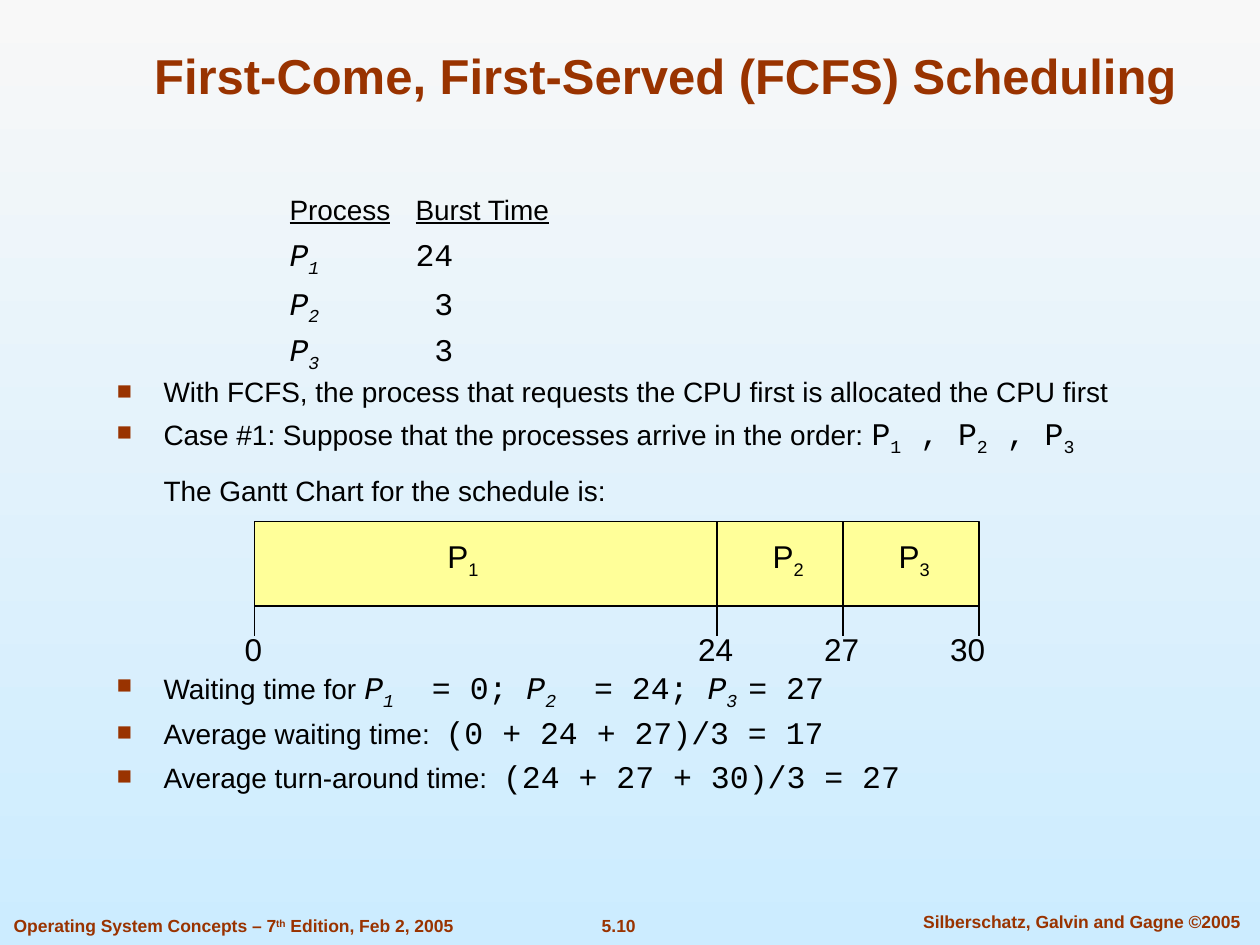
from lxml import etree
from pptx import Presentation
from pptx import util as u
from pptx.dml.color import RGBColor
from pptx.enum import shapes, text
from pptx.oxml import ns

RUST = RGBColor(0x99, 0x33, 0x00)
BLACK = RGBColor(0, 0, 0)
CREAM = RGBColor(0xFF, 0xFF, 0x99)
PALE = RGBColor(0xF8, 0xF8, 0xF8)
SKY = RGBColor(0xCC, 0xEC, 0xFF)
LEFT, MID = text.PP_ALIGN.LEFT, text.PP_ALIGN.CENTER
TOP, LOW = text.MSO_ANCHOR.TOP, text.MSO_ANCHOR.BOTTOM

deck = Presentation()
deck.slide_width, deck.slide_height = u.Inches(10), u.Inches(7.5)
slide = deck.slides.add_slide(deck.slide_layouts[6])

# Background
back = slide.background.fill
back.gradient()
back.gradient_angle = 270
for stop, tint in zip(back.gradient_stops, (PALE, SKY)):
    stop.color.rgb = tint


def add_box(x, y, w, h, wrap=True, anchor=TOP, plate=False):
    """Text box, or a clear rounded plate."""
    area = [u.Inches(n) for n in (x, y, w, h)]
    if plate:
        box = slide.shapes.add_shape(shapes.MSO_SHAPE.ROUNDED_RECTANGLE, *area)
        box.adjustments[0] = 0
        box.shadow.inherit = False
        box.fill.background()
        box.line.fill.background()
    else:
        box = slide.shapes.add_textbox(*area)
    frame = box.text_frame
    frame.word_wrap = wrap
    frame.vertical_anchor = anchor
    return frame


def add_runs(para, runs, size, tint=BLACK, bold=False, align=LEFT, line=0.93):
    """Style letters: m mono, i italic, u underline, s subscript, t superscript."""
    para.alignment, para.line_spacing = align, line
    for words, style in runs:
        run = para.add_run()
        run.text = words
        font = run.font
        font.name = "Courier New" if "m" in style else "Arial"
        font.size = u.Pt(18 if "m" in style else size)
        font.bold, font.color.rgb = bold, tint
        font.italic, font.underline = "i" in style, "u" in style
        for key, shift in (("s", "-25000"), ("t", "30000")):
            if key in style:
                run._r.get_or_add_rPr().set("baseline", shift)


# Small specks
for x, y in ((1.76, 5.42), (1.3, 4.6), (1.29, 0.97)):
    pen = slide.shapes.build_freeform(u.Inches(x), u.Inches(y + 0.01))
    pen.add_line_segments([(u.Inches(x + 0.01), u.Inches(y))])
    speck = pen.convert_to_shape()
    speck.shadow.inherit = False
    speck.fill.solid()
    speck.fill.fore_color.rgb = BLACK
    speck.line.fill.background()

# Footer
feet = [
    (4.42, 7.23, 0.98, MID, True, [("5.10", "")]),
    (7.1, 7.2, 2.97, MID, False, [("Silberschatz, Galvin and Gagne ©2005", "")]),
    (0.01, 7.23, 3.69, LEFT, True, [("Operating System Concepts – 7", ""), ("th", "t"),
                                    (" Edition, Feb 2, 2005", "")]),
]
for x, y, w, align, plate, runs in feet:
    foot = add_box(x, y, w, 0.26, plate=plate)
    add_runs(foot.paragraphs[0], runs, 10, RUST, True, align)

# Title
title = add_box(0.72, 0.34, 9.12, 0.55, anchor=LOW)
add_runs(title.paragraphs[0], [("First-Come, First-Served (FCFS) Scheduling", "")],
         28, RUST, True, MID)

# Body rows: kind, space before, runs
rows = [("head", 7, [("\t", ""), ("Process", "u"), ("\t", ""), ("Burst Time", "u")])]
for num, burst in enumerate((24, 3, 3), 1):
    rows.append(("row", 7.9 if num < 3 else 7,
                 [("\t", ""), ("P", "mi"), (str(num), "mis"), (f"\t{burst}", "m")]))
rows += [
    ("item", 7, [("With FCFS, the process that requests the CPU first "
                  "is allocated the CPU first", "")]),
    ("item", 6.1, [("Case #1: Suppose that the processes arrive in the order: ", ""),
                   ("P", "m"), ("1", "ms"), (" , P", "m"), ("2", "ms"),
                   (" , P", "m"), ("3", "ms")]),
    ("plain", 15.7, [("The Gantt Chart for the schedule is:", "")]),
    # The wide gap leaves room for the Gantt chart
    ("item", 94.2, [("Waiting time for ", ""), ("P", "mi"), ("1", "mis"), ("  = 0; ", "m"),
                    ("P", "mi"), ("2", "mis"), ("  = 24; ", "m"),
                    ("P", "mi"), ("3 ", "mis"), ("= 27", "m")]),
    ("item", 7.9, [("Average waiting time:  ", ""), ("(0 + 24 + 27)/3 = 17", "m")]),
    ("item", 7.9, [("Average turn-around time:  ", ""), ("(24 + 27 + 30)/3 = 27", "m")]),
]
stops = {"head": ((1.37, "l"), (2.37, "l")), "row": ((1.37, "l"), (2.67, "r"))}

body = add_box(0.83, 1.52, 8.27, 4.77)
for num, (kind, gap, runs) in enumerate(rows):
    para = body.add_paragraph() if num else body.paragraphs[0]
    add_runs(para, runs, 16, line=0.83 if kind == "head" else 0.8)
    para.space_before = u.Pt(gap)
    props = para._p.get_or_add_pPr()
    if kind in stops:
        tabs = etree.SubElement(props, ns.qn("a:tabLst"))
        for pos, side in stops[kind]:
            etree.SubElement(tabs, ns.qn("a:tab"), pos=str(u.Inches(pos)), algn=side)
    else:
        props.set("marL", str(u.Inches(0.37)))
    if kind == "item":
        props.set("indent", str(u.Inches(-0.37)))
        hue = etree.SubElement(props, ns.qn("a:buClr"))
        etree.SubElement(hue, ns.qn("a:srgbClr"), val=str(RUST))
        etree.SubElement(props, ns.qn("a:buSzPct"), val="90000")
        etree.SubElement(props, ns.qn("a:buFont"), typeface="Arial")
        etree.SubElement(props, ns.qn("a:buChar"), char="■")

# Gantt bar
edges = (2.02, 5.69, 6.69, 7.77)
top, base, tip = 4.14, 4.8, 5.05
bar = slide.shapes.add_shape(
    shapes.MSO_SHAPE.ROUNDED_RECTANGLE, u.Inches(edges[0]), u.Inches(top),
    u.Inches(edges[-1] - edges[0]), u.Inches(0.67))
bar.adjustments[0] = 0
bar.shadow.inherit = False
bar.fill.solid()
bar.fill.fore_color.rgb = CREAM
bar.line.color.rgb = BLACK
bar.line.width = u.Pt(0.75)

# Ticks below the bar, then dividers inside it
lines = [(x, base, tip) for x in edges] + [(x, top, base) for x in edges[1:-1]]
for x, start, end in lines:
    tick = slide.shapes.add_connector(
        shapes.MSO_CONNECTOR.STRAIGHT, u.Inches(x), u.Inches(start),
        u.Inches(x), u.Inches(end))
    tick.line.color.rgb = BLACK
    tick.line.width = u.Pt(0.75)
    etree.SubElement(tick._element.spPr, ns.qn("a:effectLst"))

# Process names and times
marks = [(x, 4.21, 0.45, 0.42, [("P", ""), (str(num), "s")])
         for num, x in enumerate((3.45, 6.03, 7.03), 1)]
marks += [(x, 4.98, w, 0.38, [(time, "")])
          for x, w, time in ((5.44, 0.48, "24"), (6.44, 0.48, "27"),
                             (7.44, 0.48, "30"), (1.84, 0.34, "0"))]
for x, y, w, h, runs in marks:
    mark = add_box(x, y, w, h, False, text.MSO_ANCHOR.MIDDLE, True)
    add_runs(mark.paragraphs[0], runs, 18, align=MID)

deck.save("out.pptx")
